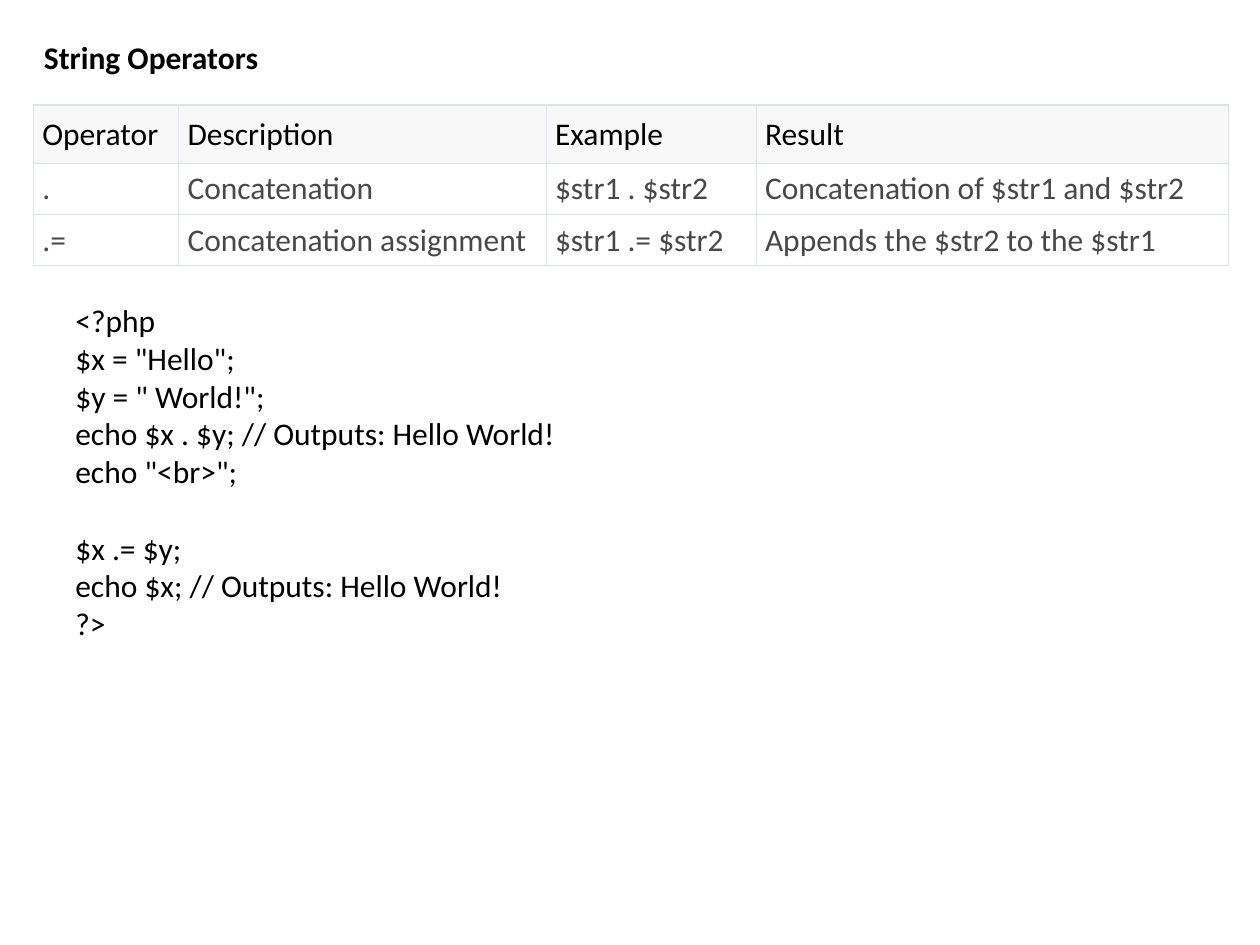
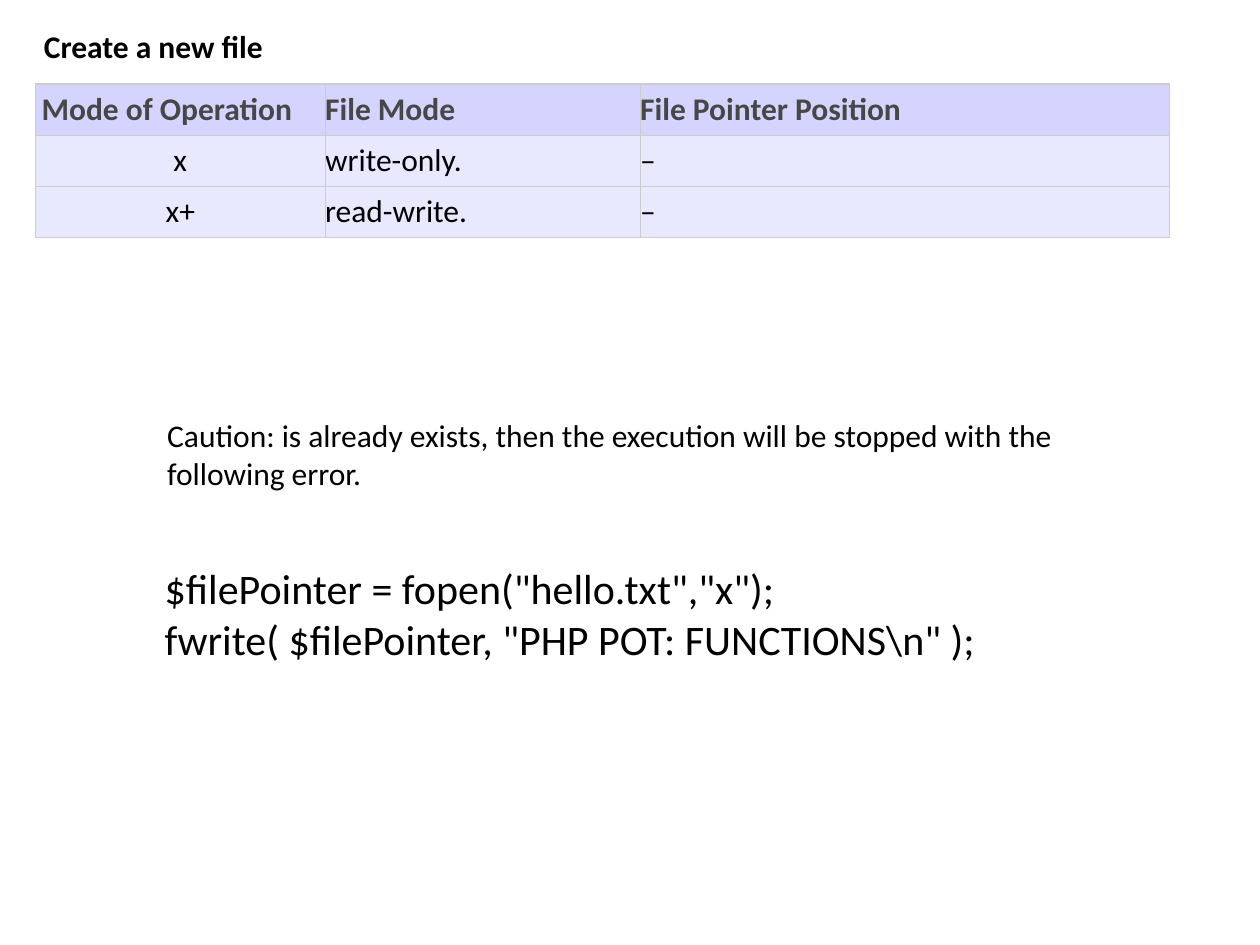
from dataclasses import dataclass

from lxml.etree import SubElement
from pptx import Presentation
from pptx.dml.color import RGBColor as Rgb
from pptx.enum.text import MSO_ANCHOR as Anchor, MSO_AUTO_SIZE as AutoSize, PP_ALIGN as Align
from pptx.oxml.ns import qn
from pptx.util import Pt


@dataclass(frozen=True)
class Theme:
    font: str = "Calibri"
    body_size: int = 18
    large_size: int = 24
    ink: str = "000000"
    line_gap: int = 22
    border_width: float = 0.75


@dataclass(frozen=True)
class TableLook:
    border: str
    header_fill: str
    body_fill: str
    header_ink: str
    body_ink: str
    header_bold: bool
    anchor: Anchor


THEME = Theme()
GREY_TABLE = TableLook("DCE3EB", "F8F8F8", "FFFFFF", "000000", "484848", False, Anchor.TOP)
LILAC_TABLE = TableLook("CCCCCC", "D4D4FF", "E8E8FF", "474747", "000000", True, Anchor.MIDDLE)

STRING_OPERATORS = [
    ["Operator", "Description", "Example", "Result"],
    [".", "Concatenation", "$str1 . $str2", "Concatenation of $str1 and $str2"],
    [".=", "Concatenation assignment", "$str1 .= $str2", "Appends the $str2 to the $str1"],
]
FILE_MODES = [
    ["Mode of Operation", "File Mode", "File Pointer Position"],
    ["x", "write-only.", "–"],
    ["x+", "read-write.", "–"],
]
CONCATENATION_CODE = """<?php
$x = "Hello";
$y = " World!";
echo $x . $y; // Outputs: Hello World!
echo "<br>";

$x .= $y;
echo $x; // Outputs: Hello World!
?>"""
FILE_CODE = r"""$filePointer = fopen("hello.txt","x");
fwrite( $filePointer, "PHP POT: FUNCTIONS\n" );"""
CAUTION = ("Caution: is already exists, then the execution will be stopped "
           "with the following error.")


def set_attributes(target, values):
    for name, value in values.items():
        setattr(target, name, value)


def write_line(para, text, size=THEME.body_size, bold=False, ink=THEME.ink):
    span = para.add_run()
    span.text = text
    set_attributes(span.font, {"name": THEME.font, "size": Pt(size), "bold": bold})
    span.font.color.rgb = Rgb.from_string(ink)


def add_text(page, text, left, top, width, height, wrap=True, **style):
    """Write one paragraph a line; an empty line becomes space above the next."""
    box = page.shapes.add_textbox(Pt(left), Pt(top), Pt(width), Pt(height))
    frame = box.text_frame
    set_attributes(frame, {"word_wrap": wrap, "auto_size": AutoSize.SHAPE_TO_FIT_TEXT})
    para, gap = frame.paragraphs[0], 0
    for index, line in enumerate(text.split("\n")):
        if not line:
            gap += THEME.line_gap
            continue
        if index:
            para = frame.add_paragraph()
            para.space_before = Pt(gap)
        write_line(para, line, **style)
        gap = 0


def add_title(page, text, top, width):
    add_text(page, text, 18, top, width, 29, wrap=False, bold=True)


def add_borders(cell, colour):
    properties = cell._tc.get_or_add_tcPr()
    for side in ("a:lnL", "a:lnR", "a:lnT", "a:lnB"):
        line = SubElement(properties, qn(side), w=str(Pt(THEME.border_width)))
        fill = SubElement(line, qn("a:solidFill"))
        SubElement(fill, qn("a:srgbClr"), val=colour)


def fill_cell(cell, text, look, is_header, margins, align):
    across, down = margins
    set_attributes(cell, {
        "margin_left": Pt(across), "margin_right": Pt(across),
        "margin_top": Pt(down), "margin_bottom": Pt(down),
        "vertical_anchor": look.anchor,
    })
    add_borders(cell, look.border)
    cell.fill.solid()
    cell.fill.fore_color.rgb = Rgb.from_string(look.header_fill if is_header else look.body_fill)
    para = cell.text_frame.paragraphs[0]
    para.alignment = align
    write_line(para, text, bold=is_header and look.header_bold,
               ink=look.header_ink if is_header else look.body_ink)


def add_grid(page, rows, left, top, widths, heights, look, margins_at, align_at):
    """margins_at and align_at take a row and column index."""
    table = page.shapes.add_table(len(rows), len(widths), Pt(left), Pt(top),
                                  Pt(sum(widths)), Pt(sum(heights))).table
    set_attributes(table, {"first_row": False, "horz_banding": False})
    for column, width in zip(table.columns, widths):
        column.width = Pt(width)
    for r, (texts, height) in enumerate(zip(rows, heights)):
        table.rows[r].height = Pt(height)
        for c, text in enumerate(texts):
            fill_cell(table.cell(r, c), text, look, r == 0, margins_at(r, c), align_at(r, c))


def build_string_operators(page):
    add_title(page, "String Operators", 18, 138.2)
    add_grid(page, STRING_OPERATORS, 19.2, 60, [83, 210, 120, 270], [33.5, 29.2, 29.2],
             GREY_TABLE,
             margins_at=lambda r, c: (5, 3.6 if r else 5.76),
             align_at=lambda r, c: Align.LEFT)
    add_text(page, CONCATENATION_CODE, 36, 168.5, 324, 204)


def build_new_file(page):
    add_title(page, "Create a new file", 12, 141)
    add_grid(page, FILE_MODES, 20.2, 48, [165.6, 180, 302.4], [29.2] * 3,
             LILAC_TABLE,
             margins_at=lambda r, c: (0, 0) if c else (3.6, 3.6),
             align_at=lambda r, c: Align.CENTER if r and not c else Align.LEFT)
    add_text(page, FILE_CODE, 87, 318, 522, 65.5, size=THEME.large_size)
    add_text(page, CAUTION, 88.5, 234, 520.5, 51)


def main():
    deck = Presentation()
    set_attributes(deck, {"slide_width": Pt(720), "slide_height": Pt(540)})
    blank = deck.slide_layouts[6]
    for build in (build_string_operators, build_new_file):
        build(deck.slides.add_slide(blank))
    deck.save("out.pptx")


if __name__ == "__main__":
    main()
